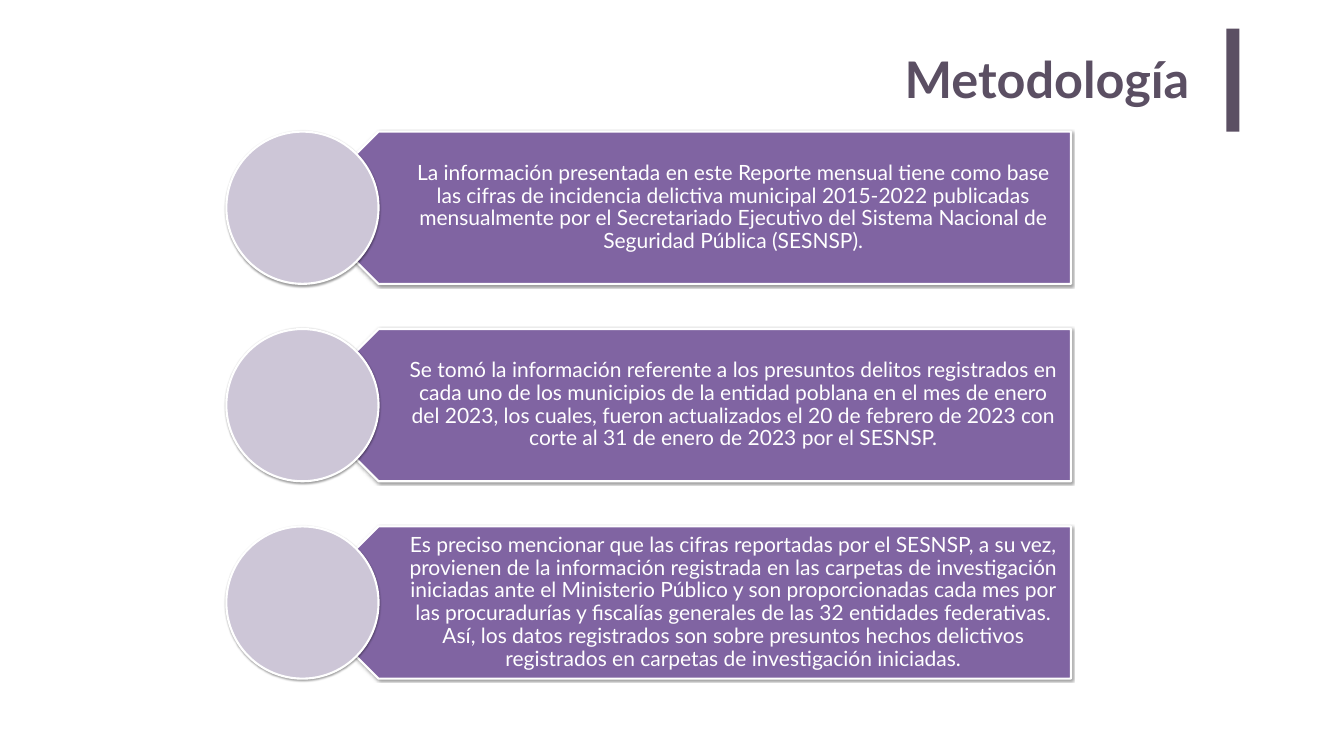
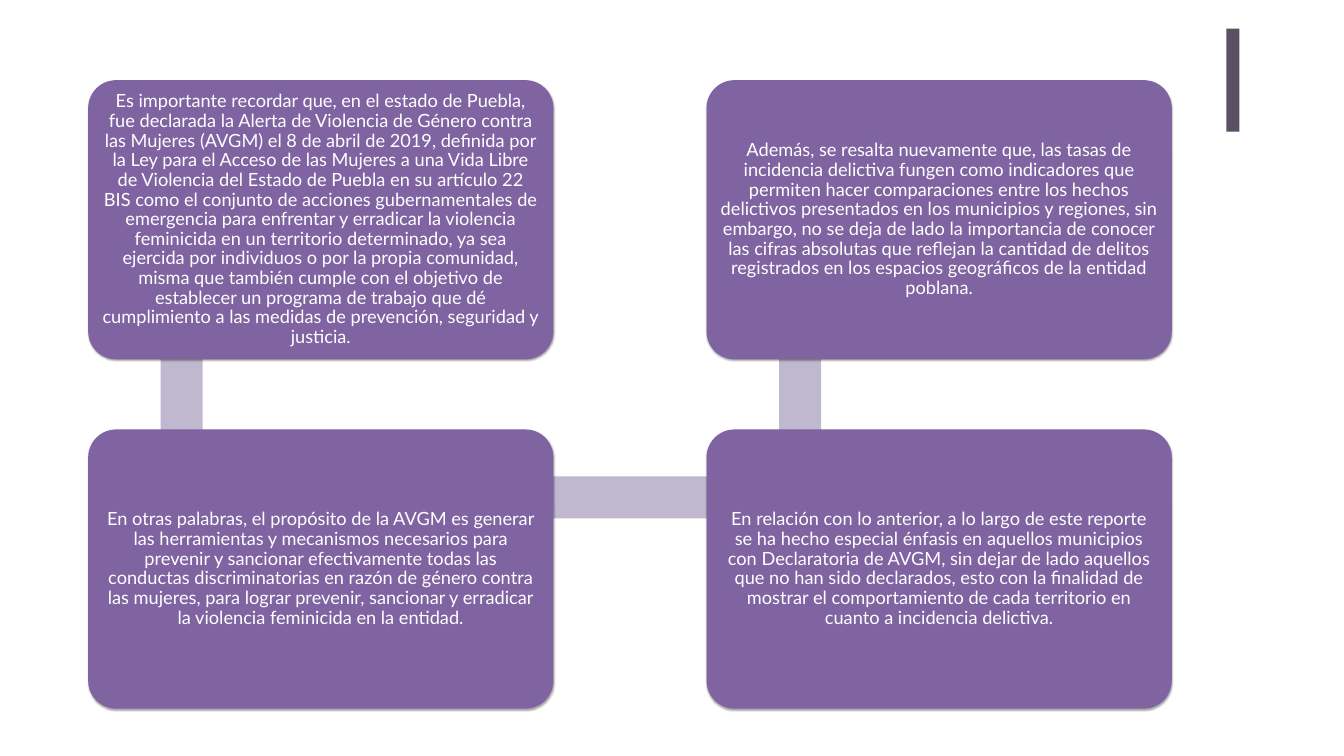
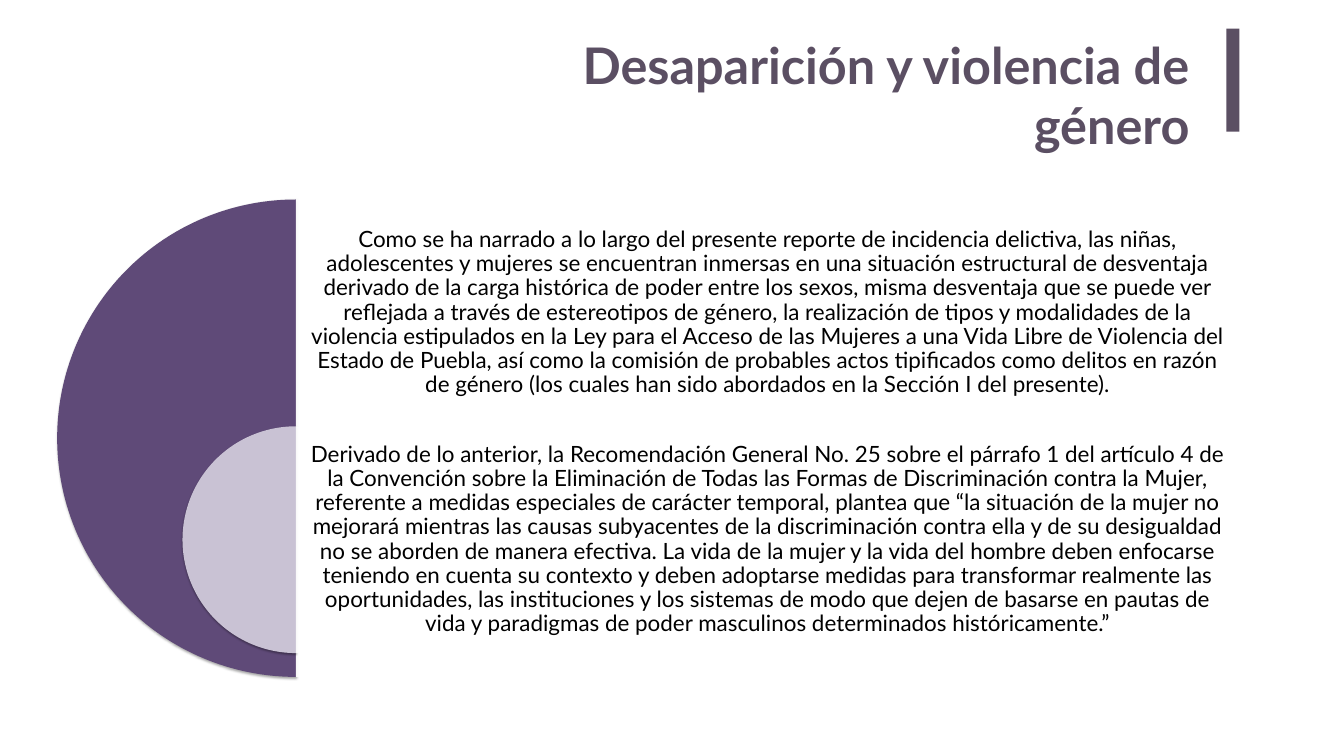
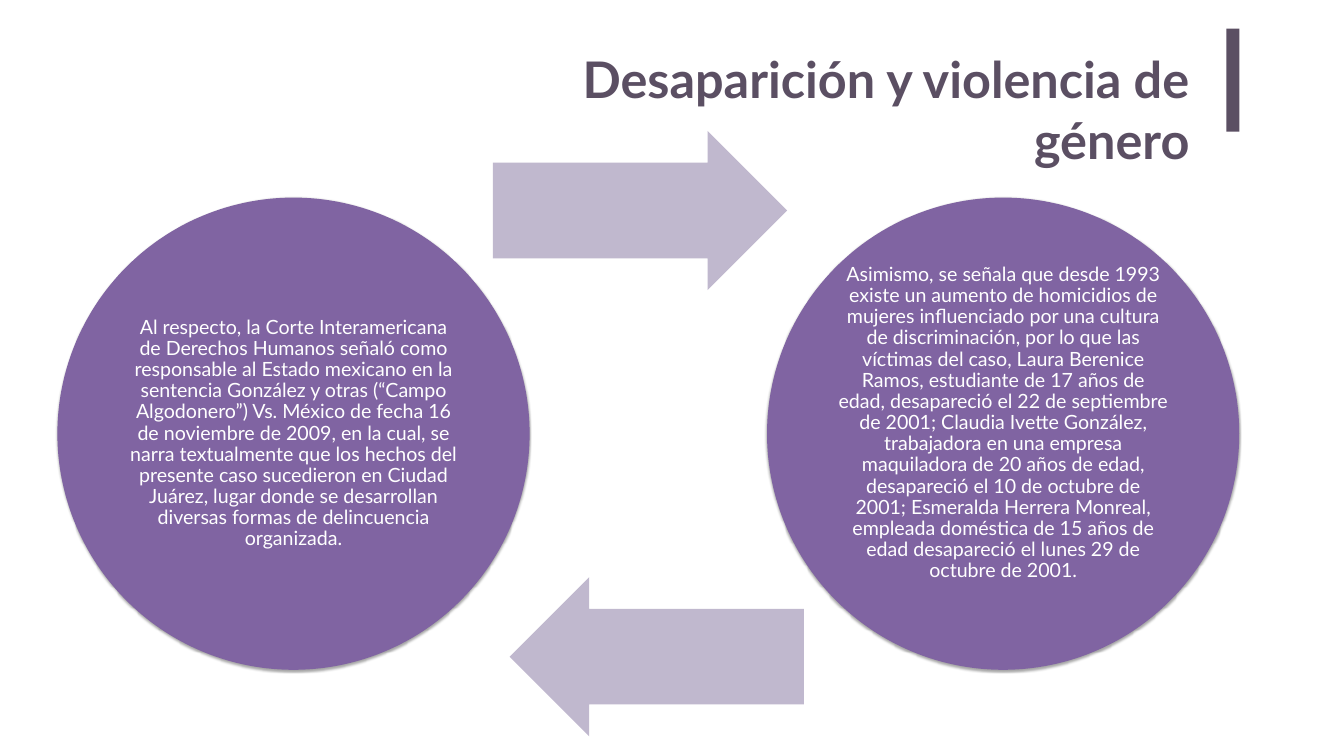
from lxml.etree import SubElement
from pptx import Presentation
from pptx.dml.color import RGBColor
from pptx.enum.shapes import MSO_SHAPE
from pptx.enum.text import MSO_ANCHOR, PP_ALIGN
from pptx.oxml.ns import qn
from pptx.util import Pt

FONT = "Lato"
COLORS = {
    "title": "5B4F63",
    "purple": "8064A2",
    "dark": "5F4A78",
    "lilac": "C0B8CE",
    "circle": "CDC6D7",
    "half": "C9C2D4",
    "white": "FFFFFF",
    "black": "000000",
}
TITLE_RIGHT = 1713.6

METHOD = [
    "La información presentada en este Reporte mensual tiene como base las cifras de incidencia delictiva municipal 2015-2022 publicadas mensualmente por el Secretariado Ejecutivo del Sistema Nacional de Seguridad Pública (SESNSP).",
    "Se tomó la información referente a los presuntos delitos registrados en cada uno de los municipios de la entidad poblana en el mes de enero del 2023, los cuales, fueron actualizados el 20 de febrero de 2023 con corte al 31 de enero de 2023 por el SESNSP.",
    "Es preciso mencionar que las cifras reportadas por el SESNSP, a su vez, provienen de la información registrada en las carpetas de investigación iniciadas ante el Ministerio Público y son proporcionadas cada mes por las procuradurías y fiscalías generales de las 32 entidades federativas. Así, los datos registrados son sobre presuntos hechos delictivos registrados en carpetas de investigación iniciadas.",
]
ALERT = [
    "Es importante recordar que, en el estado de Puebla, fue declarada la Alerta de Violencia de Género contra las Mujeres (AVGM) el 8 de abril de 2019, definida por la Ley para el Acceso de las Mujeres a una Vida Libre de Violencia del Estado de Puebla en su artículo 22 BIS como el conjunto de acciones gubernamentales de emergencia para enfrentar y erradicar la violencia feminicida en un territorio determinado, ya sea ejercida por individuos o por la propia comunidad, misma que también cumple con el objetivo de establecer un programa de trabajo que dé cumplimiento a las medidas de prevención, seguridad y justicia.",
    "En otras palabras, el propósito de la AVGM es generar las herramientas y mecanismos necesarios para prevenir y sancionar efectivamente todas las conductas discriminatorias en razón de género contra las mujeres, para lograr prevenir, sancionar y erradicar la violencia feminicida en la entidad.",
    "En relación con lo anterior, a lo largo de este reporte se ha hecho especial énfasis en aquellos municipios con Declaratoria de AVGM, sin dejar de lado aquellos que no han sido declarados, esto con la finalidad de mostrar el comportamiento de cada territorio en cuanto a incidencia delictiva.",
    "Además, se resalta nuevamente que, las tasas de incidencia delictiva fungen como indicadores que permiten hacer comparaciones entre los hechos delictivos presentados en los municipios y regiones, sin embargo, no se deja de lado la importancia de conocer las cifras absolutas que reflejan la cantidad de delitos registrados en los espacios geográficos de la entidad poblana.",
]
GENDER_TITLE = "Desaparición y violencia de género"
CONTEXT = [
    "Como se ha narrado a lo largo del presente reporte de incidencia delictiva, las niñas, adolescentes y mujeres se encuentran inmersas en una situación estructural de desventaja derivado de la carga histórica de poder entre los sexos, misma desventaja que se puede ver reflejada a través de estereotipos de género, la realización de tipos y modalidades de la violencia estipulados en la Ley para el Acceso de las Mujeres a una Vida Libre de Violencia del Estado de Puebla, así como la comisión de probables actos tipificados como delitos en razón de género (los cuales han sido abordados en la Sección I del presente).",
    "Derivado de lo anterior, la Recomendación General No. 25 sobre el párrafo 1 del artículo 4 de la Convención sobre la Eliminación de Todas las Formas de Discriminación contra la Mujer, referente a medidas especiales de carácter temporal, plantea que “la situación de la mujer no mejorará mientras las causas subyacentes de la discriminación contra ella y de su desigualdad no se aborden de manera efectiva. La vida de la mujer y la vida del hombre deben enfocarse teniendo en cuenta su contexto y deben adoptarse medidas para transformar realmente las oportunidades, las instituciones y los sistemas de modo que dejen de basarse en pautas de vida y paradigmas de poder masculinos determinados históricamente.”",
]
CASE = [
    "Al respecto, la Corte Interamericana de Derechos Humanos señaló como responsable al Estado mexicano en la sentencia González y otras (“Campo Algodonero”) Vs. México de fecha 16 de noviembre de 2009, en la cual, se narra textualmente que los hechos del presente caso sucedieron en Ciudad Juárez, lugar donde se desarrollan diversas formas de delincuencia organizada.",
    "Asimismo, se señala que desde 1993 existe un aumento de homicidios de mujeres influenciado por una cultura de discriminación, por lo que las víctimas del caso, Laura Berenice Ramos, estudiante de 17 años de edad, desapareció el 22 de septiembre de 2001; Claudia Ivette González, trabajadora en una empresa maquiladora de 20 años de edad, desapareció el 10 de octubre de 2001; Esmeralda Herrera Monreal, empleada doméstica de 15 años de edad desapareció el lunes 29 de octubre de 2001.",
]


def color_of(name):
    """Return the named colour."""
    return RGBColor.from_string(COLORS[name])


def add_alpha(color_element, percent):
    """Set the opacity of a colour element."""
    SubElement(color_element, qn("a:alpha")).set("val", str(percent * 1000))


def add_shadow(shape, opacity, distance):
    """Give a shape a soft black shadow straight below it."""
    effects = shape.element.spPr.find(qn("a:effectLst"))
    shadow = SubElement(effects, qn("a:outerShdw"), blurRad=str(Pt(3.1)),
                        dist=str(Pt(distance)), dir="5400000", rotWithShape="0")
    tint = SubElement(shadow, qn("a:srgbClr"), val=COLORS["black"])
    add_alpha(tint, opacity)


def add_block(page, kind, frame, fill, outlined=False, shadow=None,
              rotation=0, adjust=(), opacity=100):
    """Draw a filled preset shape in a (left, top, width, height) frame."""
    shape = page.shapes.add_shape(kind, *map(Pt, frame))
    shape.rotation = rotation
    for index, value in enumerate(adjust):
        shape.adjustments[index] = value
    shape.fill.solid()
    shape.fill.fore_color.rgb = color_of(fill)
    if opacity < 100:
        add_alpha(shape.element.spPr.find(".//" + qn("a:srgbClr")), opacity)
    if outlined:
        shape.line.color.rgb = color_of("white")
        shape.line.width = Pt(3)
    else:
        shape.line.fill.background()
    shape.shadow.inherit = False
    if shadow:
        add_shadow(shape, *shadow)


def add_text(page, text, frame, size, color="white", bold=False, align=PP_ALIGN.CENTER,
             anchor=MSO_ANCHOR.MIDDLE, insets=(0, 0, 0, 0), spacing=0.9):
    """Write one paragraph in a wrapped text box."""
    box = page.shapes.add_textbox(*map(Pt, frame)).text_frame
    box.word_wrap = True
    box.vertical_anchor = anchor
    box.margin_left, box.margin_top, box.margin_right, box.margin_bottom = map(Pt, insets)
    para = box.paragraphs[0]
    para.alignment = align
    para.line_spacing = spacing
    span = para.add_run()
    span.text = text
    span.font.name = FONT
    span.font.size = Pt(size)
    span.font.bold = bold
    span.font.color.rgb = color_of(color)


def add_title(page, text, left, top=62):
    """Write the right-aligned page title."""
    add_text(page, text, (left, top, TITLE_RIGHT - left, 105), 72, color="title", bold=True,
             align=PP_ALIGN.RIGHT, anchor=MSO_ANCHOR.TOP, insets=(14.4, 7.2, 14.4, 7.2),
             spacing=1)


def add_page(deck):
    """Add a blank page with the accent bar."""
    page = deck.slides.add_slide(deck.slide_layouts[6])
    add_block(page, MSO_SHAPE.RECTANGLE, (1752, 41, 18.7, 147), "title")
    return page


def add_method_page(deck):
    """Build the three method rows."""
    page = add_page(deck)
    add_title(page, "Metodología", 1118)
    side, shadow = 217.5, (38, 1.6)
    for row, text in enumerate(METHOD):
        top = 188 + 282 * row
        add_block(page, MSO_SHAPE.PENTAGON, (432, top, 1098, side), "purple",
                  outlined=True, shadow=shadow, rotation=180)
        add_text(page, text, (486, top, 1044, side), 30, insets=(95.8, 8.6, 16.6, 8.6))
        add_block(page, MSO_SHAPE.OVAL, (323.3, top, side, side), "circle",
                  outlined=True, shadow=shadow)


def add_alert_page(deck):
    """Build the four cards joined by bars."""
    page = add_page(deck)
    width, height, pad, thick = 664.6, 398.9, 11.8, 60
    column_step, row_step = 883.4, 499
    bar_top = 461 - thick / 2
    bars = [
        ((10.8, bar_top, 497.5, thick), 90),
        ((260, 680.4, column_step, thick), 0),
        ((894.2, bar_top, 497.5, thick), 270),
        None,
    ]
    cells = [(0, 0), (0, 1), (1, 1), (1, 0)]
    for text, bar, (column, row) in zip(ALERT, bars, cells):
        if bar:
            add_block(page, MSO_SHAPE.RECTANGLE, bar[0], "lilac", rotation=bar[1])
        left, top = 126 + column_step * column, 114.5 + row_step * row
        add_block(page, MSO_SHAPE.ROUNDED_RECTANGLE, (left, top, width, height), "purple",
                  shadow=(35, 1.8), adjust=(0.1,))
        add_text(page, text, (left + pad, top + pad, width - 2 * pad, height - 2 * pad),
                 26, insets=(7.9,) * 4)


def add_context_page(deck):
    """Build the nested half discs with their two texts."""
    page = add_page(deck)
    center, text_height = 422.7, 324
    discs = [(285, 682, "dark"), (609, 324, "half")]
    for text, (top, size, fill) in zip(CONTEXT, discs):
        add_block(page, MSO_SHAPE.PIE, (center - size / 2, top, size, size), fill,
                  shadow=(35, 1.8), adjust=(54, 162))
        add_block(page, MSO_SHAPE.RECTANGLE, (center, top, 1348, size), "white", opacity=90)
        add_text(page, text, (center, top, 1348, text_height), 32, color="black",
                 insets=(9.4,) * 4)
    add_title(page, GENDER_TITLE, 748.8, top=41)


def add_case_page(deck):
    """Build the two discs joined by arrows."""
    page = add_page(deck)
    size, inner = 674.6, 476.6
    pad = (size - inner) / 2
    columns = [(82, 0, (704, 187), 0), (1095.8, 15, (728, 824.4), 180)]
    for text, (left, lift, arrow, rotation) in zip(CASE, columns):
        add_block(page, MSO_SHAPE.OVAL, (left, 282.3, size, size), "purple", shadow=(35, 1.8))
        add_text(page, text, (left + pad, 282.3 + pad - lift, inner, inner), 28,
                 insets=(2.9,) * 4)
        add_block(page, MSO_SHAPE.RIGHT_ARROW, (*arrow, 420.5, 227.5), "lilac",
                  rotation=rotation, adjust=(0.6, 0.5))
    add_title(page, GENDER_TITLE, 775.4)


def main():
    """Build and save the deck."""
    deck = Presentation()
    deck.slide_width, deck.slide_height = Pt(1920), Pt(1080)
    for build in (add_method_page, add_alert_page, add_context_page, add_case_page):
        build(deck)
    deck.save("out.pptx")


if __name__ == "__main__":
    main()
